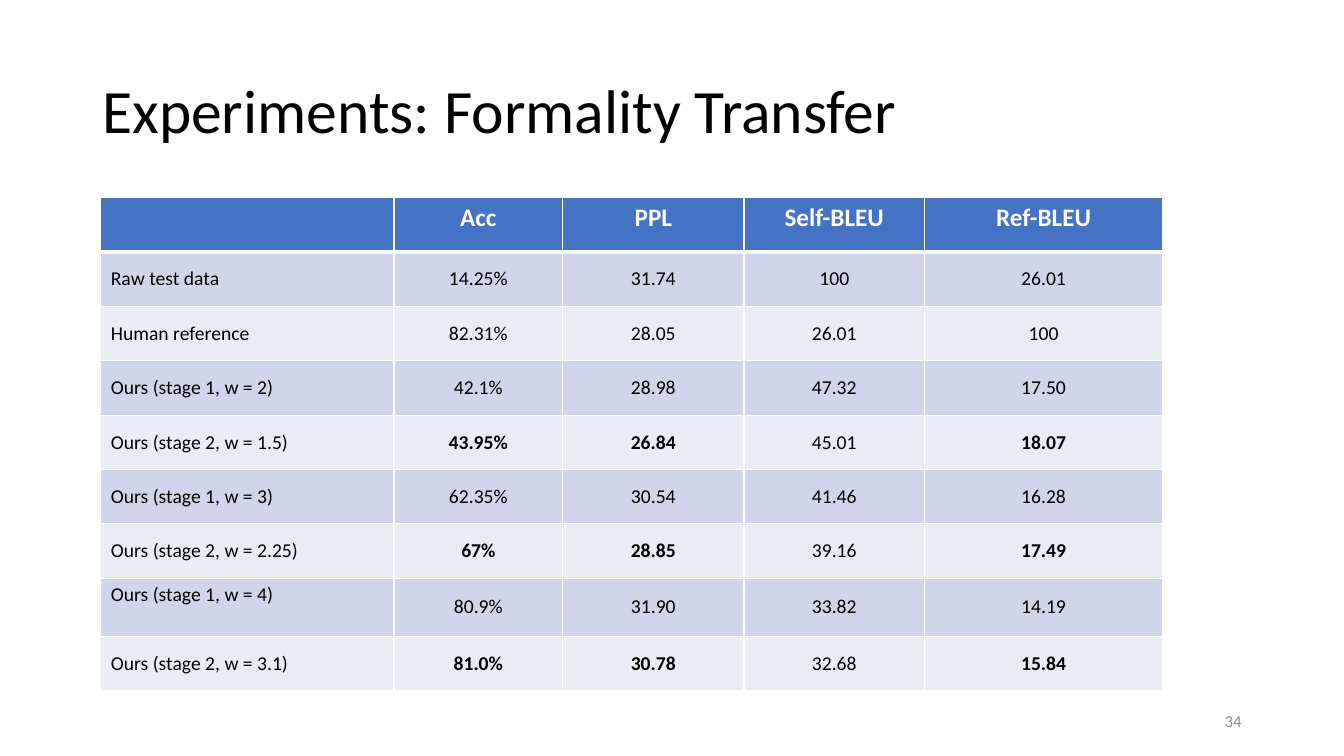
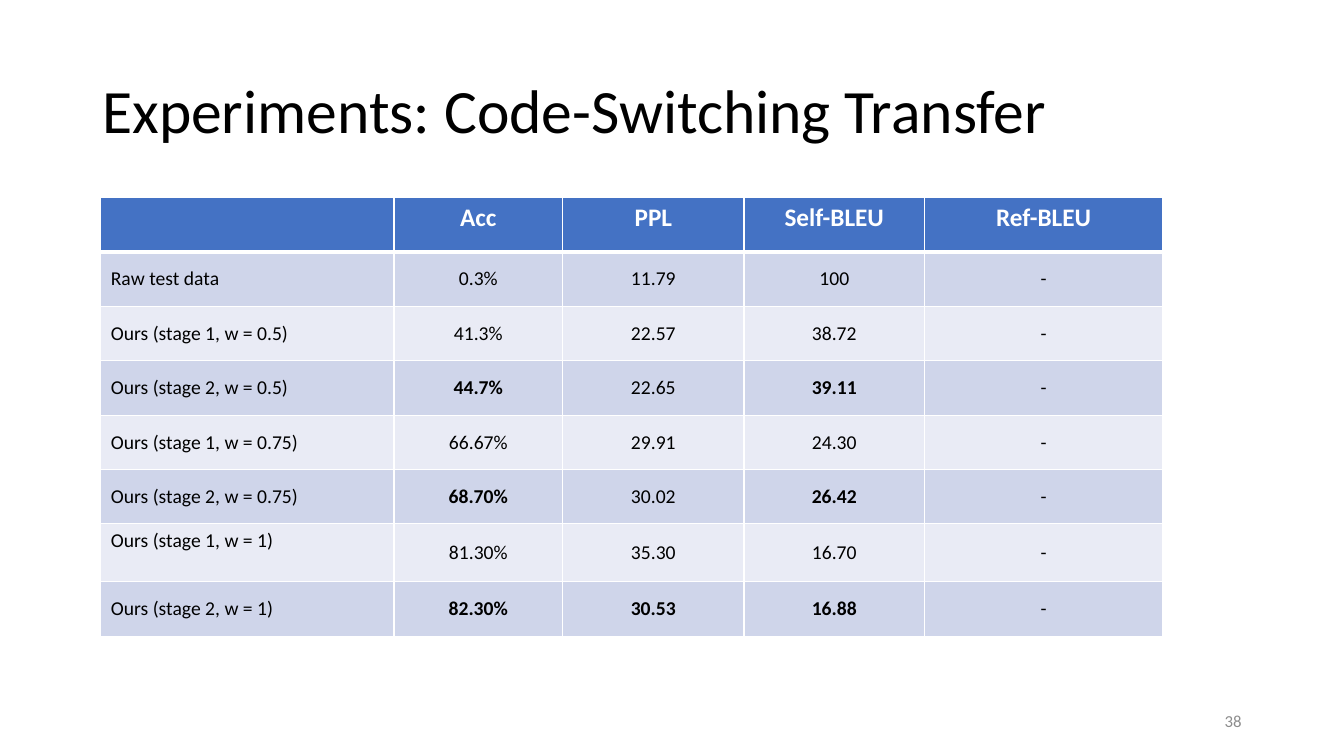
"""Build two slides that tabulate style transfer results."""
from lxml.etree import SubElement as Sub
from pptx import Presentation
from pptx.dml.color import RGBColor as Rgb
from pptx.enum.text import MSO_ANCHOR as Anchor, PP_ALIGN as Align
from pptx.oxml.ns import qn
from pptx.util import Cm, Pt

FONT = "Calibri"
BLACK, WHITE, GREY = "000000", "FFFFFF", "8C8C8C"
BLUE, BANDS = "4472C4", ("CFD5EA", "E9EBF5")
WIDTHS = (7.39, 4.25, 4.57, 4.55, 6)
ROW, TALL = 1.37, 1.46
HEAD = ("", "Acc", "PPL", "Self-BLEU", "Ref-BLEU")

FORMAL = (
    ("Raw test data", "14.25%", "31.74", "100", "26.01"),
    ("Human reference", "82.31%", "28.05", "26.01", "100"),
    ("Ours (stage 1, w = 2)", "42.1%", "28.98", "47.32", "17.50"),
    ("Ours (stage 2, w = 1.5)", "*43.95%", "*26.84", "45.01", "*18.07"),
    ("Ours (stage 1, w = 3)", "62.35%", "30.54", "41.46", "16.28"),
    ("Ours (stage 2, w = 2.25)", "*67%", "*28.85", "39.16", "*17.49"),
    ("Ours (stage 1, w = 4)", "80.9%", "31.90", "33.82", "14.19"),
    ("Ours (stage 2, w = 3.1)", "*81.0%", "*30.78", "32.68", "*15.84"),
)
SWITCH = (
    ("Raw test data", "0.3%", "11.79", "100", "-"),
    ("Ours (stage 1, w = 0.5)", "41.3%", "22.57", "38.72", "-"),
    ("Ours (stage 2, w = 0.5)", "*44.7%", "22.65", "*39.11", "-"),
    ("Ours (stage 1, w = 0.75)", "66.67%", "29.91", "24.30", "-"),
    ("Ours (stage 2, w = 0.75)", "*68.70%", "30.02", "*26.42", "-"),
    ("Ours (stage 1, w = 1)", "81.30%", "35.30", "16.70", "-"),
    ("Ours (stage 2, w = 1)", "*82.30%", "*30.53", "*16.88", "-"),
)


def tint(color, code):
    """Set a colour from a hex string."""
    color.rgb = Rgb.from_string(code)


def write(frame, text, size, code, align=Align.LEFT, bold=False):
    """Put one styled paragraph in a text frame and return it."""
    para = frame.paragraphs[0]
    para.text, para.alignment = text, align
    font = para.font
    font.name, font.size, font.bold = FONT, Pt(size), bold
    tint(font.color, code)
    return para


def label(slide, box, text, size, code, align=Align.LEFT):
    """Add a wrapped, vertically centred text box and return its paragraph."""
    frame = slide.shapes.add_textbox(*map(Cm, box)).text_frame
    frame.word_wrap, frame.vertical_anchor = True, Anchor.MIDDLE
    return write(frame, text, size, code, align)


def edge(cell, **sides):
    """Draw white cell borders with the given widths in points."""
    props = cell._tc.get_or_add_tcPr()
    for side in "LRTB":
        line = Sub(props, qn(f"a:ln{side}"), w=str(Pt(sides.get(side, 1))))
        Sub(Sub(line, qn("a:solidFill")), qn("a:srgbClr"), val=WHITE)


def paint(cell, code):
    """Fill a cell with a solid colour."""
    cell.fill.solid()
    tint(cell.fill.fore_color, code)


def grid(slide, data):
    """Add a results table; a leading star marks a bold value."""
    rows = (HEAD, *data)
    tall = len(rows) - 2
    highs = [TALL if r == tall else ROW for r in range(len(rows))]
    box = (2.54, 4.98, sum(WIDTHS), sum(highs))
    table = slide.shapes.add_table(len(rows), len(HEAD), *map(Cm, box)).table
    for col, width in zip(table.columns, WIDTHS):
        col.width = Cm(width)
    for r, (row, high) in enumerate(zip(rows, highs)):
        table.rows[r].height = Cm(high)
        for c, text in enumerate(row):
            cell = table.cell(r, c)
            align = Align.CENTER if c else Align.LEFT
            if r == 0:
                edge(cell, B=3)
                paint(cell, BLUE)
                write(cell.text_frame, text, 18, WHITE, align, True)
                continue
            edge(cell, T=3 if r == 1 else 1)
            paint(cell, BANDS[(r - 1) % 2])
            top = r == tall and c == 0
            cell.vertical_anchor = Anchor.TOP if top else Anchor.MIDDLE
            write(cell.text_frame, text.lstrip("*"), 14, BLACK, align,
                  text.startswith("*"))


def page(deck, title, number, data):
    """Add a slide with title, page number and results table."""
    slide = deck.slides.add_slide(deck.slide_layouts[6])
    head = label(slide, (2.33, 1.01, 29.21, 3.68), title, 44, BLACK)
    head.line_spacing = 0.9
    label(slide, (23.92, 17.66, 7.62, 1.01), number, 12, GREY, Align.RIGHT)
    grid(slide, data)


def main():
    """Build and save the deck."""
    deck = Presentation()
    deck.slide_width, deck.slide_height = Cm(33.87), Cm(19.05)
    page(deck, "Experiments: Formality Transfer", "34", FORMAL)
    page(deck, "Experiments: Code-Switching Transfer", "38", SWITCH)
    deck.save("out.pptx")


if __name__ == "__main__":
    main()
